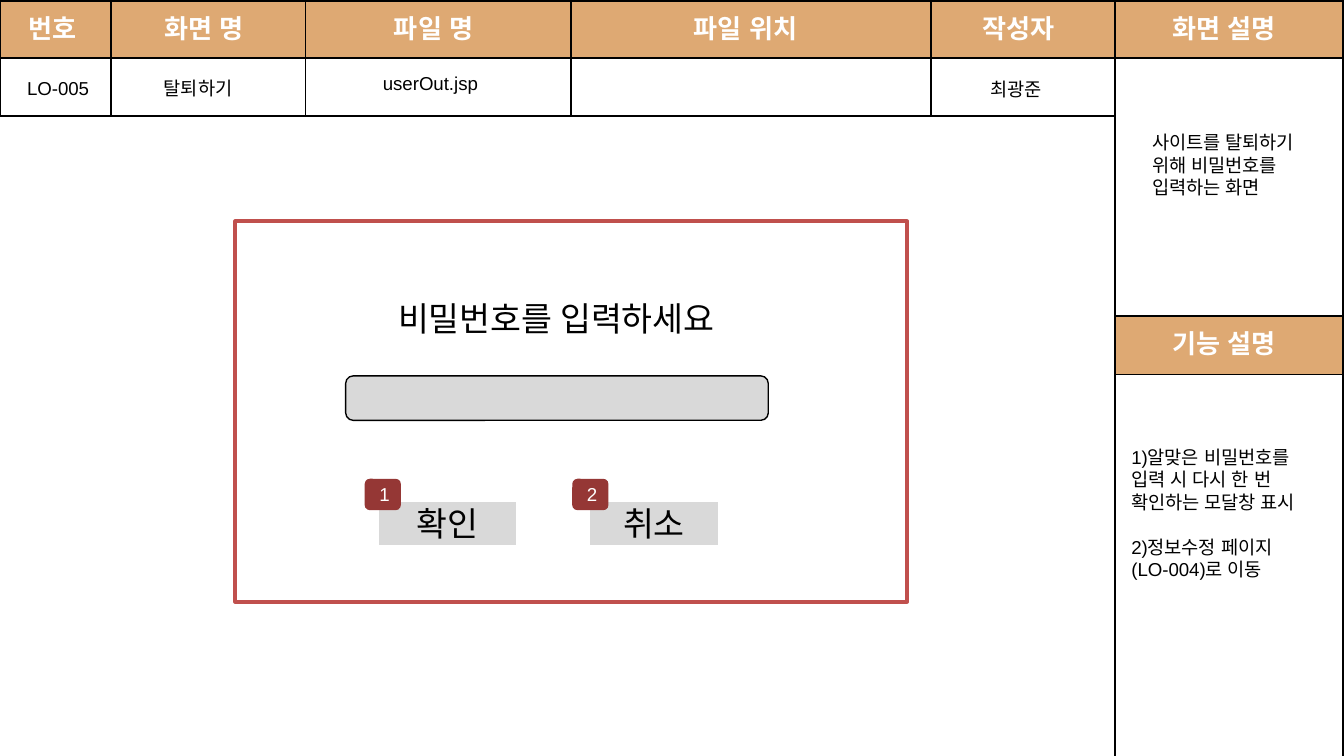
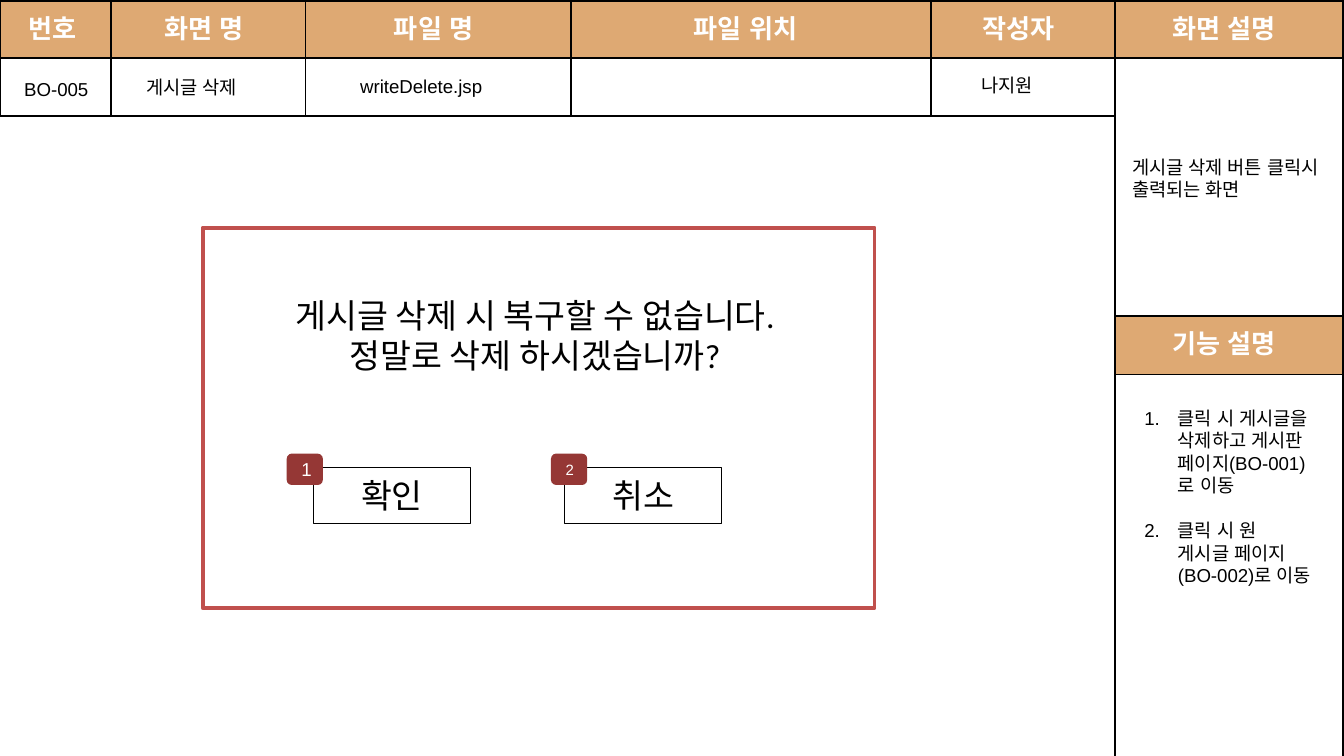
import dataclasses

import lxml.etree
import pptx
import pptx.dml.color
import pptx.enum.shapes
import pptx.enum.text
import pptx.oxml.ns
import pptx.util

Pt = pptx.util.Pt
Kind = pptx.enum.shapes.MSO_SHAPE
Align = pptx.enum.text.PP_ALIGN
Anchor = pptx.enum.text.MSO_ANCHOR
Fit = pptx.enum.text.MSO_AUTO_SIZE

WIDE, HIGH = 720, 405
ROW, END = 31.2, 62.3
COLS = (0, 59.5, 163.6, 305.9, 498.8, 597.2)
SIDE, EDGE = COLS[-1], 719.6
LOWER = 169.4
HEADS = (
    ("번호", 14.4, 5.8, 30.2),
    ("화면 명", 87.1, 5.8, 48.2),
    ("파일 명", 210.2, 5.8, 48.2),
    ("작성자", 525.6, 5.8, 43.9),
    ("화면 설명", 627.1, 5.8, 62.6),
    ("기능 설명", 627.1, 174.6, 62.6),
)


@dataclasses.dataclass(frozen=True)
class Theme:
    band: str = "DEA973"
    ink: str = "000000"
    white: str = "FFFFFF"
    frame: str = "C0504D"
    badge: str = "953735"
    grey: str = "D9D9D9"
    head: str = "Noto Sans CJK KR"
    body: str = "Arial"
    modal: str = "Calibri"
    top: float = 14
    note: float = 10
    big: float = 18
    small: float = 8
    thin: float = 0.75
    rule: float = 0.9
    thick: float = 2


def tag(parent, name, **attrs):
    return lxml.etree.SubElement(parent, pptx.oxml.ns.qn(name), attrs)


def tint(code):
    return pptx.dml.color.RGBColor.from_string(code)


class Deck:
    def __init__(self, theme):
        self.theme = theme
        self.show = pptx.Presentation()
        self.show.slide_width, self.show.slide_height = Pt(WIDE), Pt(HIGH)
        self.slide = None

    def run(self, para, text, size, face, color, bold=False):
        run = para.add_run()
        run.text = text
        font = run.font
        font.size, font.name, font.bold = Pt(size), face, bold
        font.color.rgb = tint(color)
        props = run._r.get_or_add_rPr()
        props.set("lang", "ko-KR")
        tag(props, "a:ea", typeface=face)

    def paint(self, item, fill=None, line=None, width=0.75):
        item.shadow.inherit = False
        if fill:
            item.fill.solid()
            item.fill.fore_color.rgb = tint(fill)
        else:
            item.fill.background()
        if line:
            item.line.color.rgb = tint(line)
            item.line.width = Pt(width)
        else:
            item.line.fill.background()
        return item

    def shape(self, kind, box, *look):
        item = self.slide.shapes.add_shape(kind, *map(Pt, box))
        return self.paint(item, *look)

    def trace(self, parts, *look, close=False):
        """Draw one outline made of several separate parts."""
        parts = [[(Pt(x), Pt(y)) for x, y in part] for part in parts]
        pen = self.slide.shapes.build_freeform(*parts[0][0], scale=1)
        for i, (start, *rest) in enumerate(parts):
            if i:
                pen.move_to(*start)
            pen.add_line_segments(rest, close=close)
        self.paint(pen.convert_to_shape(), *look)

    def label(self, item, text, size, face, color):
        """Write centred text inside a shape."""
        frame = item.text_frame
        frame.word_wrap, frame.vertical_anchor = True, Anchor.MIDDLE
        para = frame.paragraphs[0]
        para.alignment = Align.CENTER
        self.run(para, text, size, face, color)

    def text(self, box, *lines, modal=False, count=False):
        """Add a text box with one paragraph a line, numbered if count is set."""
        look = self.theme
        frame = self.slide.shapes.add_textbox(*map(Pt, box)).text_frame
        frame.word_wrap, frame.auto_size = True, Fit.SHAPE_TO_FIT_TEXT
        for i, line in enumerate(lines):
            para = frame.add_paragraph() if i else frame.paragraphs[0]
            if i:
                para.space_before = Pt(12)
            if modal:
                para.alignment = Align.CENTER
                self.run(para, line, look.big, look.modal, look.ink)
            else:
                self.run(para, line, look.note, look.body, look.ink)
            if count:
                props = para._p.get_or_add_pPr()
                props.set("marL", str(Pt(18)))
                props.set("indent", str(-Pt(18)))
                tag(props, "a:buFont", typeface=look.head)
                tag(props, "a:buAutoNum", type="arabicPeriod")

    def head(self, item, text, left=0.9):
        """Style a text box or the title as a column heading."""
        look = self.theme
        frame = item.text_frame
        frame.margin_left = frame.margin_right = frame.margin_bottom = 0
        frame.margin_top = Pt(0.9)
        frame.word_wrap, frame.auto_size = True, Fit.SHAPE_TO_FIT_TEXT
        frame.vertical_anchor = Anchor.TOP
        para = frame.paragraphs[0]
        para.alignment, para.space_before = Align.LEFT, Pt(1)
        props = para._p.get_or_add_pPr()
        props.set("marL", str(Pt(left)))
        props.set("indent", "0")
        self.run(para, text, look.top, look.head, look.white, True)

    def title(self, text):
        """Fill the title and lift it above the bands."""
        item = self.slide.shapes.title
        item.left, item.top, item.width, item.height = map(
            Pt, (286.6, 5.8, 189.4, 16.8))
        self.head(item, text, 85)
        self.slide.shapes._spTree.append(item._element)

    def grid(self):
        """Draw the header table and the side column."""
        look = self.theme
        self.shape(Kind.RECTANGLE, (0, 0.4, SIDE, ROW), look.band)
        self.trace([((x, 0), (x, END)) for x in COLS],
                   None, look.ink, look.thin)
        self.trace([((0, y), (SIDE, y)) for y in (0.4, ROW, END)],
                   None, look.ink, look.rule)
        self.trace([((SIDE, y), (WIDE, y), (WIDE, y + ROW), (SIDE, y + ROW))
                    for y in (0.4, LOWER)], look.band, close=True)
        rows = (0.4, ROW, LOWER, LOWER + ROW)
        self.trace([((x, 0), (x, HIGH)) for x in (SIDE, EDGE)]
                   + [((SIDE, y), (EDGE, y)) for y in rows],
                   None, look.ink, look.rule)

    def page(self):
        """Start a slide with all that the slides share."""
        self.slide = self.show.slides.add_slide(self.show.slide_layouts[5])
        self.grid()
        for text, x, y, w in HEADS:
            box = map(Pt, (x, y, w, 16.8))
            self.head(self.slide.shapes.add_textbox(*box), text)
        self.title("파일 위치")

    def modal(self, x, y, fill=None):
        look = self.theme
        self.shape(Kind.RECTANGLE, (x, y, 360, 203.8), fill, look.frame, look.thick)

    def button(self, box, text, *style):
        look = self.theme
        item = self.shape(Kind.RECTANGLE, box, *style)
        self.label(item, text, look.big, look.modal, look.ink)

    def badge(self, x, y, text, size):
        look = self.theme
        item = self.shape(Kind.ROUNDED_RECTANGLE, (x, y, 19.4, 16.8), look.badge)
        self.label(item, text, size, look.body, look.white)


def leave(deck):
    look = deck.theme
    deck.page()
    deck.text((523.4, 38.2, 79.2, 19.4), "최광준")
    deck.text((80.8, 37.4, 93.6, 19.4), "탈퇴하기")
    deck.text((198, 35, 126, 19.4), "userOut.jsp")
    deck.text((610.2, 66.7, 95.8, 43.9), "사이트를 탈퇴하기 위해 비밀번호를 입력하는 화면")
    deck.text((599, 235.3, 107.3, 104.4),
              "1)알맞은 비밀번호를 입력 시 다시 한 번 확인하는 모달창 표시",
              "2)정보수정 페이지(LO-004)로 이동")
    deck.text((7.4, 37.4, 49.7, 19.4), "LO-005")
    deck.modal(126, 118.6, look.white)
    deck.text((190.1, 156.2, 216, 28.8), "비밀번호를 입력하세요", modal=True)
    for x, w, text in ((202.2, 75.4, "확인"), (315.2, 70.2, "취소")):
        deck.button((x, 268, w, 25), text, look.grey, look.white, look.thick)
    deck.shape(Kind.ROUNDED_RECTANGLE, (185.2, 201.4, 226.4, 23.8),
               look.grey, look.ink, look.thin)
    for x, text in ((195.4, "1"), (306.6, "2")):
        deck.badge(x, 256.5, text, look.note)


def erase(deck):
    look = deck.theme
    deck.page()
    deck.text((71.3, 36.9, 118.8, 19.4), "게시글 삭제")
    deck.text((185.9, 36.4, 134.6, 19.4), "writeDelete.jsp")
    deck.text((518.6, 36, 72, 19.4), "나지원")
    deck.text((599.6, 80, 120.2, 31.7), "게시글 삭제 버튼 클릭시 출력되는 화면")
    deck.text((135.4, 154.5, 302.4, 51.1),
              "게시글 삭제 시 복구할 수 없습니다. 정말로 삭제 하시겠습니까?", modal=True)
    for x, text in ((167.9, "확인"), (302.5, "취소")):
        deck.button((x, 250.4, 84.2, 30), text, None, look.ink, look.thin)
    deck.text((606, 214.4, 103.7, 116.6),
              "클릭 시 게시글을 삭제하고 게시판 페이지(BO-001)로 이동",
              "클릭 시 원 게시글 페이지(BO-002)로 이동", count=True)
    deck.text((5.9, 38.2, 54, 19.4), "BO-005")
    for x, text, size in ((153.6, "1", look.note), (295.2, "2", look.small)):
        deck.badge(x, 243, text, size)
    deck.modal(108.6, 122)


def main():
    deck = Deck(Theme())
    leave(deck)
    erase(deck)
    deck.show.save("out.pptx")


if __name__ == "__main__":
    main()
